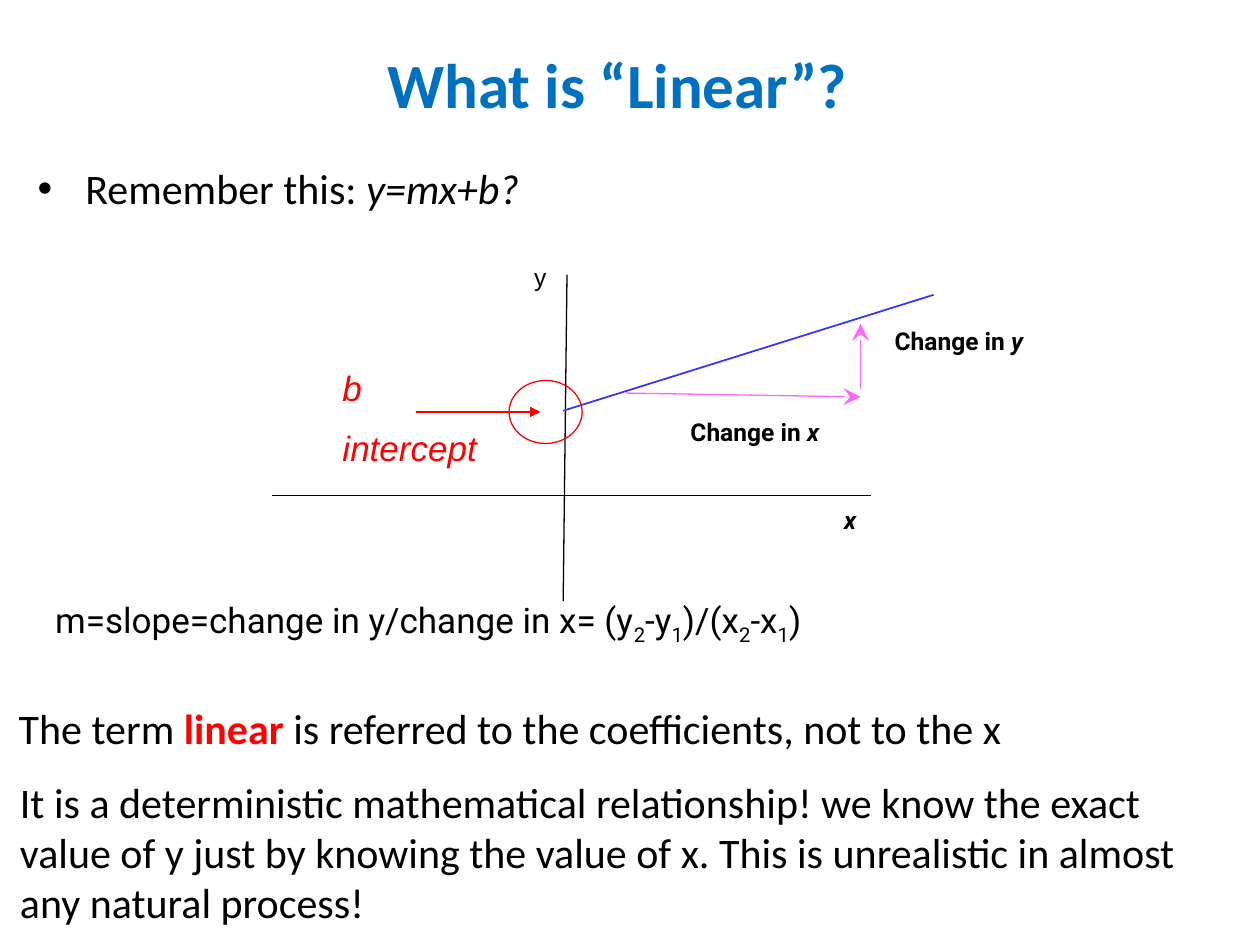
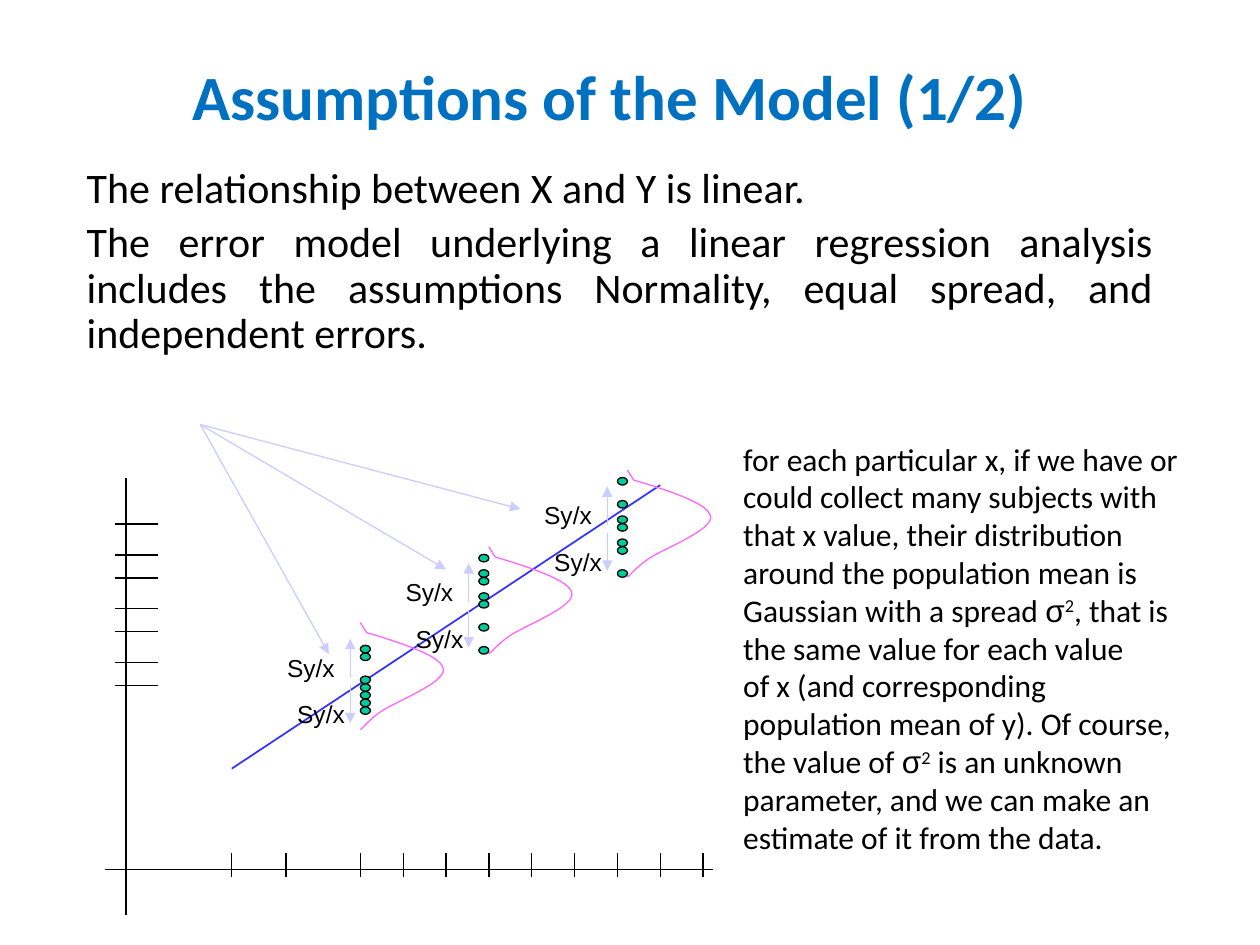
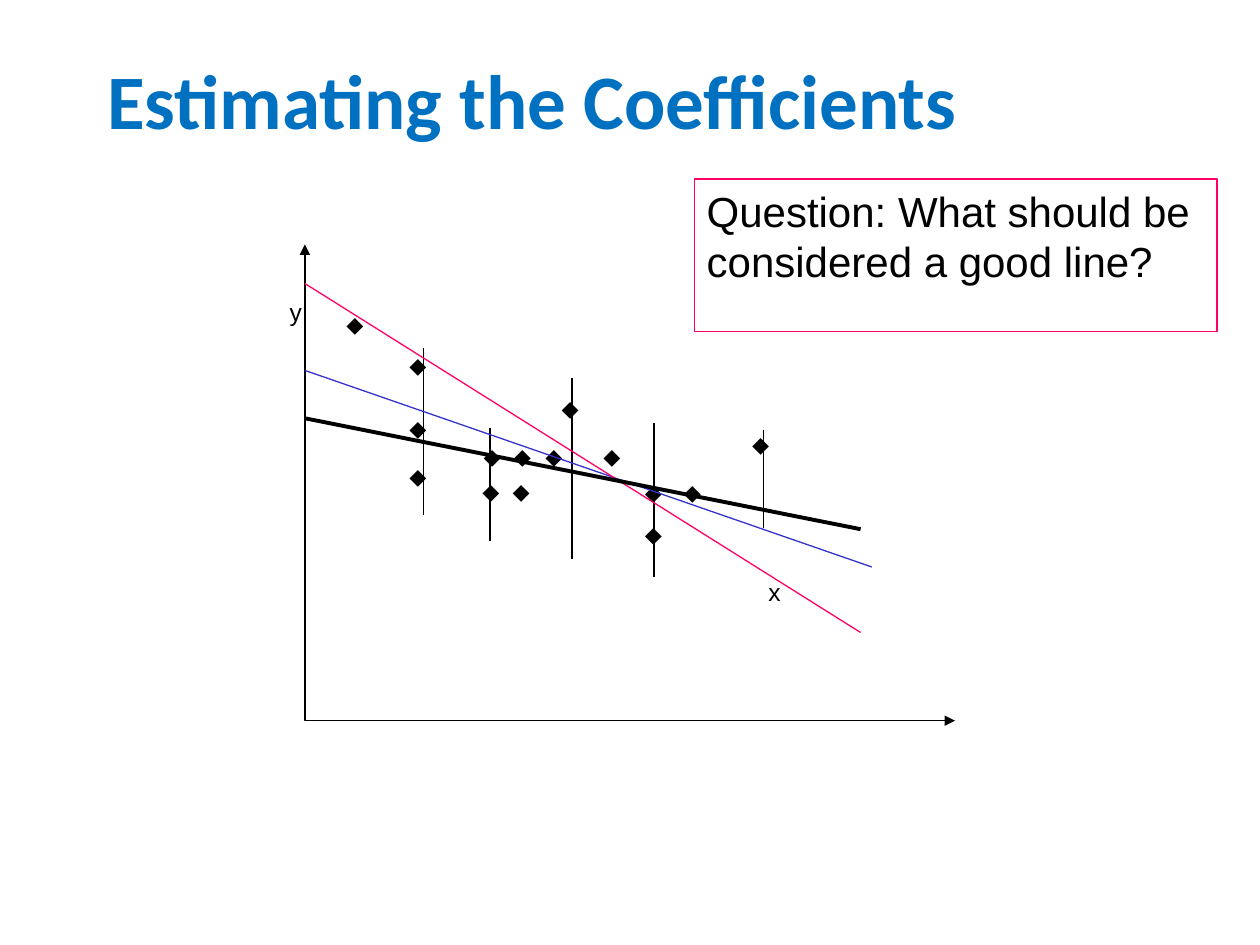
from lxml import etree
from pptx import Presentation
from pptx import util as u
from pptx.dml.color import RGBColor
from pptx.enum import shapes, text
from pptx.oxml import ns

BLACK = RGBColor(0x00, 0x00, 0x00)
WHITE = RGBColor(0xFF, 0xFF, 0xFF)
TITLE_BLUE = RGBColor(0x00, 0x70, 0xC0)
RED = RGBColor(0xFF, 0x00, 0x00)
FIT_BLUE = RGBColor(0x33, 0x33, 0xFF)
PINK = RGBColor(0xFF, 0x66, 0xFF)
LAVENDER = RGBColor(0xCC, 0xCC, 0xFF)
GREEN = RGBColor(0x00, 0xCC, 0x99)
NAVY = RGBColor(0x33, 0x33, 0xCC)
CRIMSON = RGBColor(0xFF, 0x00, 0x66)

ITALIC, BOLD = {"italic": True}, {"bold": True}
SUB, SUP = {"baseline": -25}, {"baseline": 30}
SIGMA = ("σ", {"font": "Arial"})

REMEMBER = [["Remember this: ", ("y=mx+b?", ITALIC)]]
INTERCEPT = [[("b", ITALIC)], [("intercept", ITALIC)]]
SLOPE = [["m=slope=change in y/change in x= (y", ("2", SUB), "-y", ("1", SUB),
          ")/(x", ("2", SUB), "-x", ("1", SUB), ")"]]
TERM = [["The term ", ("linear", {"bold": True, "color": RED}),
         " is referred to the coefficients, not to the x"]]
DETERMINISTIC = [["It is a deterministic mathematical relationship! we know the exact value of y "
                  "just by knowing the value of x. This is unrealistic in almost any natural process!"]]
ASSUMPTIONS = [["The relationship between X and Y is linear."],
               ["The error model underlying a linear regression analysis includes the "
                "assumptions Normality, equal spread, and independent errors."]]
SPREAD = [["for each particular x, if we have or could collect many subjects with that x value, "
           "their distribution around the population mean is Gaussian with a spread ",
           SIGMA, ("2", SUP), ", that is the same value for each value"],
          ["of x (and corresponding population mean of y). Of course, the value of ",
           SIGMA, ("2", SUP), " is an unknown parameter, and we can make an estimate of it "
           "from the data."]]
QUESTION = [["Question: What should be considered a good line?"]]

STEP = 0.061
SAMPLES = [
    {"dot_x": 2.86, "curve_x": 2.86, "top": 5.02, "dots": (2, 3, 6, 7, 8, 9, 10)},
    {"dot_x": 3.80, "curve_x": 3.88, "top": 4.42, "dots": (0, 2, 3, 5, 6, 9, 12)},
    {"dot_x": 4.90, "curve_x": 4.98, "top": 3.81, "dots": (0, 3, 5, 6, 8, 9, 12)},
]
BELL = [((0.05, 0), (0.35, 0.09), (0.65, 0.19), (0.66, 0.29)),
        ((0.66, 0.29), (0.68, 0.40), (0.27, 0.55), (0.16, 0.63)),
        ((0.16, 0.63), (0.05, 0.71), (0.03, 0.75), (0, 0.77))]
BELL_TIP = (0, -0.08)
X_TICKS = [1.84, 2.27] + [2.86 + 0.34 * i for i in range(9)]
Y_TICKS = [4.16 + STEP * i for i in (0, 4, 7, 11, 14, 18, 21)]
SPREAD_ARROW_ENDS = [(4.13, 4.04), (3.54, 4.52), (2.61, 5.19)]

POINTS = [(2.81, 2.58), (3.31, 2.91), (3.31, 3.41), (3.31, 3.79),
          (3.90, 3.63), (4.14, 3.63), (4.39, 3.63), (4.85, 3.63),
          (4.52, 3.25), (5.18, 3.92), (5.49, 3.92), (6.03, 3.54),
          (3.89, 3.91), (4.13, 3.91), (5.18, 4.25)]
RESIDUALS = [(3.36, 2.76, 4.09), (3.89, 3.40, 4.29), (4.54, 3.00, 4.44),
             (5.19, 3.36, 4.58), (6.06, 3.41, 4.19)]
CANDIDATES = [((2.42, 2.94), (6.92, 4.50), NAVY, 0.75),
              ((2.42, 2.25), (6.83, 5.02), CRIMSON, 0.75),
              ((2.42, 3.32), (6.83, 4.20), BLACK, 2.25)]


def inches(*values):
    return [u.Inches(v) for v in values]


def fill_text(tf, paras, size, font="Calibri", color=BLACK, align=None, before=0,
              leading=None, bullet=False, **style):
    for i, runs in enumerate(paras):
        p = tf.paragraphs[0] if i == 0 else tf.add_paragraph()
        p.alignment = align or text.PP_ALIGN.LEFT
        p.space_before = u.Pt(before if i else 0)
        if leading:
            p.line_spacing = leading
        if bullet:
            pPr = p._p.get_or_add_pPr()
            pPr.set("marL", str(u.Inches(0.38)))
            pPr.set("indent", str(u.Inches(-0.38)))
            etree.SubElement(pPr, ns.qn("a:buFont")).set("typeface", "Arial")
            etree.SubElement(pPr, ns.qn("a:buChar")).set("char", "•")
        for run in runs:
            words, own = (run, {}) if isinstance(run, str) else run
            look = {"font": font, "color": color, **style, **own}
            r = p.add_run()
            r.text = words
            r.font.size = u.Pt(size)
            r.font.name = look["font"]
            r.font.color.rgb = look["color"]
            r.font.bold = look.get("bold", False)
            r.font.italic = look.get("italic", False)
            if "baseline" in look:
                r._r.get_or_add_rPr().set("baseline", str(look["baseline"] * 1000))


def set_margins(tf, side, top):
    tf.margin_left = tf.margin_right = u.Inches(side)
    tf.margin_top = tf.margin_bottom = u.Inches(top)


def add_text(s, box, paras, size, wrap=True, inset=True, **style):
    tf = s.shapes.add_textbox(*inches(*box)).text_frame
    tf.word_wrap = wrap
    set_margins(tf, 0.1 if inset else 0, 0.05 if inset else 0)
    fill_text(tf, paras, size, **style)


def add_title_slide(prs, title, box, size=36, align=text.PP_ALIGN.CENTER):
    s = prs.slides.add_slide(prs.slide_layouts[5])
    sp = s.shapes.title
    sp.left, sp.top, sp.width, sp.height = inches(*box)
    sp.text_frame.vertical_anchor = text.MSO_ANCHOR.MIDDLE
    fill_text(sp.text_frame, [[title]], size, color=TITLE_BLUE, align=align, bold=True)
    return s


def set_arrow(sp, end, kind, size="med"):
    arrow = etree.SubElement(sp.line._get_or_add_ln(), ns.qn("a:" + end))
    arrow.set("type", kind)
    arrow.set("w", size)
    arrow.set("len", size)


def add_line(s, start, end, color=BLACK, width=0.75, arrow=None, size="med"):
    sp = s.shapes.add_connector(shapes.MSO_CONNECTOR.STRAIGHT, *inches(*start, *end))
    sp.line.color.rgb = color
    sp.line.width = u.Pt(width)
    if arrow:
        set_arrow(sp, "tailEnd", arrow, size)
    etree.SubElement(sp._element.spPr, ns.qn("a:effectLst"))


def outline(sp, color, fill=None):
    sp.shadow.inherit = False
    if fill is None:
        sp.fill.background()
    else:
        sp.fill.solid()
        sp.fill.fore_color.rgb = fill
    sp.line.color.rgb = color
    sp.line.width = u.Pt(0.75)


def add_shape(s, kind, box, color, fill=None):
    sp = s.shapes.add_shape(kind, *inches(*box))
    outline(sp, color, fill)
    return sp


def add_path(s, points, color):
    points = [inches(*pt) for pt in points]
    fb = s.shapes.build_freeform(*points[0])
    fb.add_line_segments(points[1:], close=False)
    sp = fb.convert_to_shape()
    outline(sp, color)
    return sp


def bezier(curve, t):
    weights = ((1 - t) ** 3, 3 * t * (1 - t) ** 2, 3 * t * t * (1 - t), t ** 3)
    return tuple(sum(w * pt[axis] for w, pt in zip(weights, curve)) for axis in (0, 1))


def linear_slide(prs):
    s = add_title_slide(prs, "What is “Linear”?", (0.65, 0.04, 8.5, 1.25))
    add_text(s, (0.2, 1.24, 9, 0.6), REMEMBER, 24, bullet=True)
    add_line(s, (4.5, 2.18), (4.47, 4.77))
    add_line(s, (2.16, 3.93), (6.91, 3.93))
    add_line(s, (4.47, 3.26), (7.41, 2.34), FIT_BLUE, 1)
    add_shape(s, shapes.MSO_SHAPE.OVAL, (4.04, 3.02, 0.58, 0.5), RED)
    add_text(s, (2.62, 2.86, 1.87, 0.94), INTERCEPT, 20, font="Arial", color=RED, before=10)
    add_line(s, (3.3, 3.27), (4.29, 3.27), RED, arrow="triangle")
    add_line(s, (4.97, 3.12), (6.83, 3.15), PINK, arrow="stealth", size="lg")
    add_line(s, (6.83, 3.09), (6.83, 2.57), PINK, arrow="stealth", size="lg")
    add_text(s, (0.34, 4.7, 7.34, 0.44), SLOPE, 20, font="Roboto")
    for axis, left, top in (("x", 5.48, 3.31), ("y", 7.1, 2.59)):
        add_text(s, (left, top, 1.05, 0.24), [["Change in ", (axis, ITALIC)]], 14,
                 wrap=False, inset=False, font="Roboto", bold=True)
    add_text(s, (4.14, 2.03, 0.3, 0.34), [["y"]], 14, wrap=False, font="Arial")
    add_text(s, (6.7, 4.01, 0.1, 0.23), [["x"]], 14, wrap=False, inset=False,
             font="Roboto", bold=True, italic=True)
    add_text(s, (0.06, 6.11, 9.68, 1.31), DETERMINISTIC, 24)
    add_text(s, (0.05, 5.53, 8.19, 0.51), TERM, 24)


def add_sample(s, dot_x, curve_x, top, dots):
    for step in dots:
        add_shape(s, shapes.MSO_SHAPE.OVAL,
                  (dot_x, top - 0.02 + STEP * step, 0.08, 0.06), BLACK, GREEN)
    bell = [BELL_TIP] + [bezier(curve, i / 12) for curve in BELL for i in range(13)]
    add_path(s, [(curve_x + x, top + y) for x, y in bell], PINK)
    for start, end in ((0.36, 0.05), (0.42, 0.72)):
        add_line(s, (dot_x - 0.08, top + start), (dot_x - 0.08, top + end),
                 LAVENDER, arrow="triangle")
    for dx, dy in ((-0.68, 0.11), (-0.6, 0.48)):
        add_text(s, (dot_x + dx, top + dy, 0.85, 0.29), [["Sy/x"]], 14, font="Arial")


def assumptions_slide(prs):
    s = add_title_slide(prs, "Assumptions of the Model (1/2)", (0.59, 0.13, 8.5, 1.25))
    add_text(s, (0.59, 1.28, 8.66, 2.09), ASSUMPTIONS, 24, align=text.PP_ALIGN.JUSTIFY,
             before=5, leading=0.9)
    add_line(s, (1, 3.79), (1, 7.26))
    add_line(s, (1.84, 6.1), (5.24, 3.85), FIT_BLUE, 1)
    add_line(s, (0.83, 6.9), (5.66, 6.9))
    for x in X_TICKS:
        add_line(s, (x, 6.77), (x, 6.96))
    for y in Y_TICKS:
        add_line(s, (0.91, y), (1.25, y))
    for sample in SAMPLES:
        add_sample(s, **sample)
    for end in SPREAD_ARROW_ENDS:
        add_line(s, (1.59, 3.37), end, LAVENDER, arrow="triangle")
    add_text(s, (5.8, 3.44, 3.71, 3.43), SPREAD, 18)


def coefficients_slide(prs):
    s = add_title_slide(prs, "Estimating the Coefficients", (0.75, 0.16, 8.5, 1.25), 44,
                        text.PP_ALIGN.LEFT)
    axes = add_path(s, [(2.42, 1.94), (2.42, 5.72), (7.58, 5.72)], BLACK)
    for end in ("headEnd", "tailEnd"):
        set_arrow(axes, end, "triangle")
    for x, y in POINTS:
        add_text(s, (x - 0.16, y - 0.18, 0.35, 0.53), [["⬥"]], 14, wrap=False, font="Arial")
    for x, top, bottom in RESIDUALS:
        add_line(s, (x, top), (x, bottom))
    for candidate in CANDIDATES:
        add_line(s, *candidate)
    sp = add_shape(s, shapes.MSO_SHAPE.RECTANGLE, (5.51, 1.42, 4.15, 1.21), CRIMSON, WHITE)
    tf = sp.text_frame
    tf.word_wrap = True
    tf.vertical_anchor = text.MSO_ANCHOR.TOP
    set_margins(tf, 0.1, 0.05)
    fill_text(tf, QUESTION, 24, font="Arial")
    for axis, left, top in (("x", 6, 4.53), ("y", 2.2, 2.31)):
        add_text(s, (left, top, 0.3, 0.53), [[axis]], 14, wrap=False, font="Arial")


def main():
    prs = Presentation()
    prs.slide_width, prs.slide_height = inches(10, 7.5)
    linear_slide(prs)
    assumptions_slide(prs)
    coefficients_slide(prs)
    prs.save("out.pptx")


if __name__ == "__main__":
    main()
